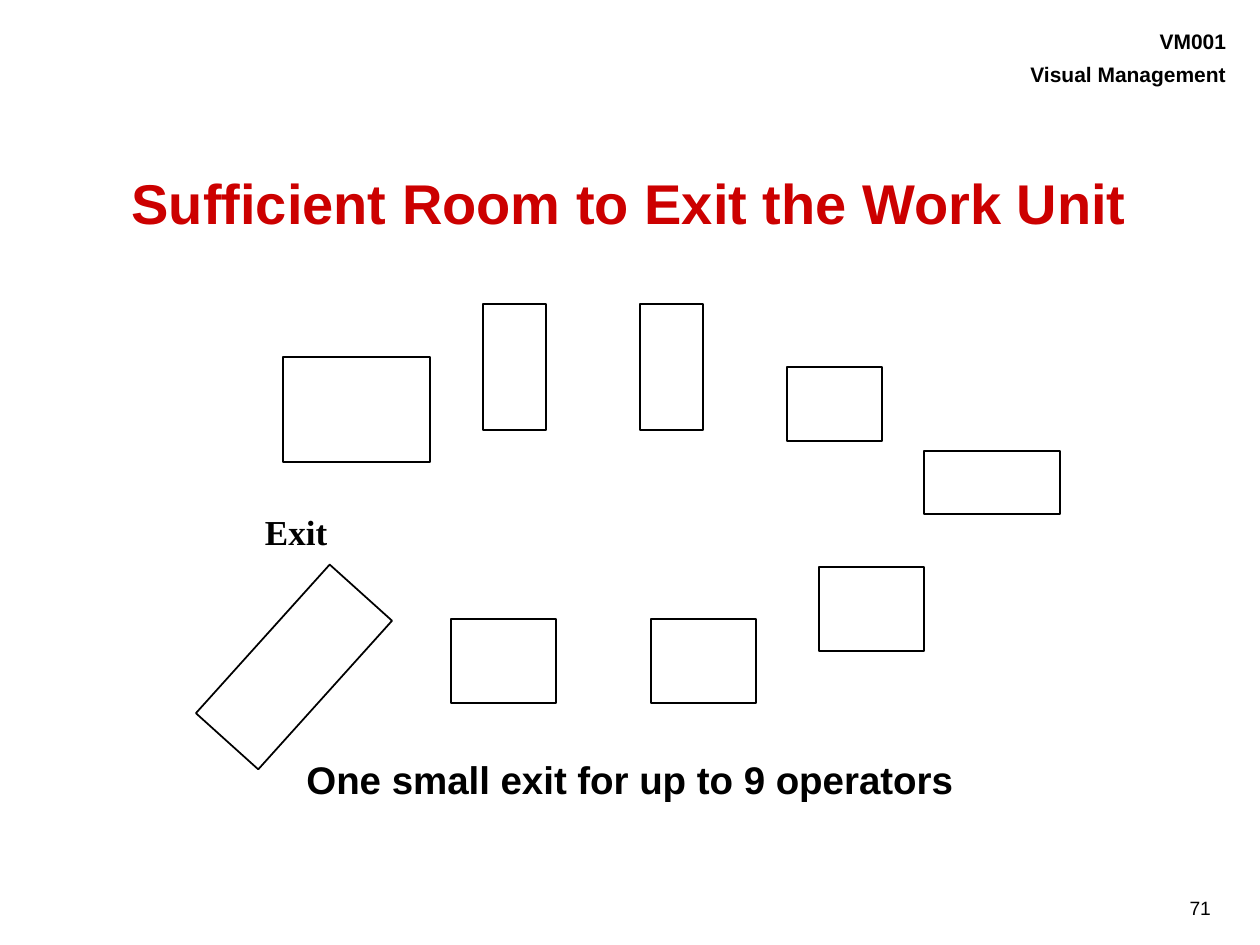
"""Build the slide on leaving a work unit through one small exit."""
from pptx import Presentation
from pptx.dml.color import RGBColor
from pptx.enum.shapes import MSO_SHAPE
from pptx.enum.text import PP_ALIGN
from pptx.util import Pt

EMU_PER_PX = 914400 / 126
COLORS = {"black": "000000", "white": "FFFFFF", "red": "CC0000"}

TEXTS = [
    {"lines": ["71"], "at": (931, 891, 291, 34), "margins": (11, 5),
     "align": PP_ALIGN.RIGHT, "color": "black",
     "font": {"name": "Arial", "size": Pt(11), "bold": False}},
    {"lines": ["VM001", "Visual Management"], "at": (930, 29, 296, 60), "margins": (0, 0),
     "align": PP_ALIGN.RIGHT, "color": "black",
     "font": {"name": "Arial", "size": Pt(12), "bold": True}},
    {"lines": ["Sufficient Room to Exit the Work Unit"], "at": (29, 179, 1201, 69),
     "margins": (0, 0), "align": PP_ALIGN.CENTER, "color": "red", "spacing": 0.85,
     "font": {"name": "Arial", "size": Pt(32), "bold": True}},
    {"lines": ["One small exit for up to 9 operators"], "at": (189, 756, 882, 69),
     "margins": (0, 0), "align": PP_ALIGN.CENTER, "color": "black",
     "font": {"name": "Arial", "size": Pt(22), "bold": True}},
    {"lines": ["Exit"], "at": (252, 504, 147, 54), "margins": (13, 6),
     "align": PP_ALIGN.LEFT, "color": "black",
     "font": {"name": "Times New Roman", "size": Pt(20), "bold": True}},
]

STATIONS = [
    (819, 567, 105, 84, 0),
    (483, 304, 63, 126, 0),
    (787, 367, 95, 74, 0),
    (252, 567, 84, 200, 42),
    (651, 619, 105, 84, 0),
    (283, 357, 147, 105, 0),
    (640, 304, 63, 126, 0),
    (924, 451, 136, 63, 0),
    (451, 619, 105, 84, 0),
]


def px(value):
    return round(value * EMU_PER_PX)


def color(name):
    return RGBColor.from_string(COLORS[name])


def add_station(slide, left, top, width, height, angle):
    station = slide.shapes.add_shape(
        MSO_SHAPE.RECTANGLE, *map(px, (left, top, width, height)))
    station.rotation = angle
    station.shadow.inherit = False
    station.fill.solid()
    station.fill.fore_color.rgb = color("white")
    station.line.color.rgb = color("black")
    station.line.width = Pt(1)


def add_text(slide, item):
    frame = slide.shapes.add_textbox(*map(px, item["at"])).text_frame
    frame.word_wrap = True
    across, down = map(px, item["margins"])
    frame.margin_left = frame.margin_right = across
    frame.margin_top = frame.margin_bottom = down
    for index, line in enumerate(item["lines"]):
        para = frame.add_paragraph() if index else frame.paragraphs[0]
        para.alignment = item["align"]
        para.line_spacing = item.get("spacing")
        if index:
            para.space_before = Pt(4)
        span = para.add_run()
        span.text = line
        for name, value in item["font"].items():
            setattr(span.font, name, value)
        span.font.color.rgb = color(item["color"])


def main():
    deck = Presentation()
    deck.slide_width, deck.slide_height = px(1260), px(945)
    slide = deck.slides.add_slide(deck.slide_layouts[6])
    for station in STATIONS:
        add_station(slide, *station)
    for item in TEXTS:
        add_text(slide, item)
    deck.save("out.pptx")


if __name__ == "__main__":
    main()
